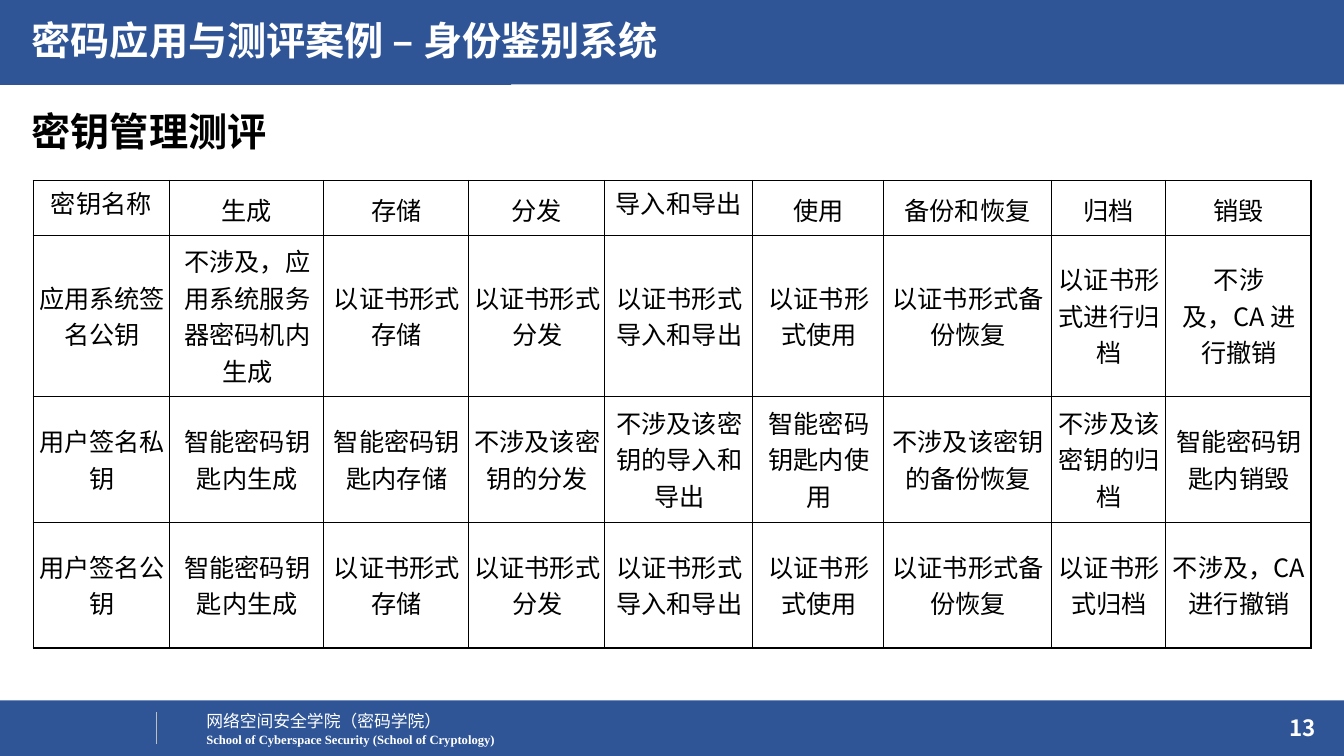
"""Build the key management evaluation slide with its life-cycle table."""
from lxml import etree
from pptx import Presentation
from pptx import util as u
from pptx.dml.color import RGBColor
from pptx.enum import shapes, text
from pptx.oxml import ns

BLUE = RGBColor(0x2F, 0x55, 0x97)
WHITE = RGBColor(0xFF, 0xFF, 0xFF)
BLACK = RGBColor(0, 0, 0)
GREY = RGBColor(0xBF, 0xBF, 0xBF)
SANS = "Noto Sans CJK SC"
SERIF = "Times New Roman"
LEFT, RIGHT = text.PP_ALIGN.LEFT, text.PP_ALIGN.RIGHT
TOP, MIDDLE = text.MSO_ANCHOR.TOP, text.MSO_ANCHOR.MIDDLE

SLIDE_SIZE = (33.87, 19.05)
BANDS = [(0, 17.65, 33.87, 1.4), (0, 0, 33.87, 2.13), (0, 0, 12.88, 2.14)]
DIVIDER = (3.95, 17.95, 3.95, 18.76)

# left, top, width, height, words, font, size, colour, bold, align, anchor, wrap
LABELS = [
    ((4.95, 17.78, 6.5, 0.76), "网络空间安全学院（密码学院）", SANS, 12, WHITE, False, LEFT, TOP, False),
    ((4.95, 18.31, 7.85, 0.64), "School of Cyberspace Security (School of Cryptology)",
     SERIF, 9, WHITE, True, LEFT, TOP, False),
    ((25.78, 17.83, 7.62, 1.02), "13", SANS, 16, WHITE, True, RIGHT, MIDDLE, True),
    ((0.55, 2.57, 32.77, 1.57), "密钥管理测评", SANS, 28, BLACK, True, LEFT, TOP, True),
    ((0.55, 0.28, 21.39, 1.55), "密码应用与测评案例 – 身份鉴别系统", SANS, 28, WHITE, True, LEFT, TOP, True),
]

KEY_TABLE = [
    ["密钥名称", "生成", "存储", "分发", "导入和导出", "使用", "备份和恢复", "归档", "销毁"],
    ["应用系统签名公钥", "不涉及，应用系统服务器密码机内生成", "以证书形式存储", "以证书形式分发",
     "以证书形式导入和导出", "以证书形式使用", "以证书形式备份恢复", "以证书形式进行归档",
     "不涉\n及，CA 进行撤销"],
    ["用户签名私钥", "智能密码钥匙内生成", "智能密码钥匙内存储", "不涉及该密钥的分发",
     "不涉及该密钥的导入和导出", "智能密码钥匙内使用", "不涉及该密钥的备份恢复",
     "不涉及该密钥的归档", "智能密码钥匙内销毁"],
    ["用户签名公钥", "智能密码钥匙内生成", "以证书形式存储", "以证书形式分发",
     "以证书形式导入和导出", "以证书形式使用", "以证书形式备份恢复", "以证书形式归档",
     "不涉及，CA 进行撤销"],
]
TABLE_LEFT, TABLE_TOP = 0.84, 4.55
COLUMN_WIDTHS = [3.43, 3.89, 3.65, 3.43, 3.73, 3.3, 4.22, 2.89, 3.66]
ROW_HEIGHTS = [1.38, 4.06, 3.17, 3.17]
HEADER_MARGINS = (0.18, 0.1, 0.18, 0)
BODY_MARGINS = (0.11, 0.18, 0.08, 0.2)
TOP_ANCHORED_HEADERS = {"密钥名称", "导入和导出"}


def lengths(values):
    return [u.Cm(value) for value in values]


def add_words(paragraph, words, font_name, size, colour, bold=False):
    run = paragraph.add_run()
    run.text = words
    run.font.name = font_name
    run.font.size = u.Pt(size)
    run.font.bold = bold
    run.font.color.rgb = colour
    east_asian = etree.SubElement(run.font._element, ns.qn("a:ea"))
    east_asian.set("typeface", font_name)


def add_band(slide, box):
    band = slide.shapes.add_shape(shapes.MSO_SHAPE.RECTANGLE, *lengths(box))
    band.shadow.inherit = False
    band.fill.solid()
    band.fill.fore_color.rgb = BLUE
    band.line.fill.background()


def add_divider(slide):
    divider = slide.shapes.add_connector(shapes.MSO_CONNECTOR.STRAIGHT, *lengths(DIVIDER))
    divider.line.color.rgb = GREY
    divider.line.width = u.Pt(0.5)
    etree.SubElement(divider._element.spPr, ns.qn("a:effectLst"))


def add_label(slide, box, words, font_name, size, colour, bold, align, anchor, wrap):
    frame = slide.shapes.add_textbox(*lengths(box)).text_frame
    frame.word_wrap = wrap
    frame.vertical_anchor = anchor
    paragraph = frame.paragraphs[0]
    paragraph.alignment = align
    add_words(paragraph, words, font_name, size, colour, bold)


def add_borders(cell):
    properties = cell._tc.get_or_add_tcPr()
    for position, side in enumerate(("lnL", "lnR", "lnT", "lnB")):
        border = etree.Element(ns.qn(f"a:{side}"), w=str(u.Pt(1)))
        fill = etree.SubElement(border, ns.qn("a:solidFill"))
        etree.SubElement(fill, ns.qn("a:srgbClr"), val=str(BLACK))
        properties.insert(position, border)


def fill_cell(cell, words, margins, anchor):
    cell.fill.background()
    add_borders(cell)
    cell.margin_left, cell.margin_top, cell.margin_right, cell.margin_bottom = lengths(margins)
    cell.vertical_anchor = anchor
    frame = cell.text_frame
    for number, line in enumerate(words.split("\n")):
        paragraph = frame.add_paragraph() if number else frame.paragraphs[0]
        paragraph.alignment = text.PP_ALIGN.CENTER
        add_words(paragraph, line, SANS, 18, BLACK)


def add_key_table(slide):
    box = (TABLE_LEFT, TABLE_TOP, sum(COLUMN_WIDTHS), sum(ROW_HEIGHTS))
    table = slide.shapes.add_table(len(ROW_HEIGHTS), len(COLUMN_WIDTHS), *lengths(box)).table
    table.first_row = False
    table.horz_banding = False
    for column, width in zip(table.columns, COLUMN_WIDTHS):
        column.width = u.Cm(width)
    for row, height in zip(table.rows, ROW_HEIGHTS):
        row.height = u.Cm(height)
    for row_number, row_words in enumerate(KEY_TABLE):
        margins = BODY_MARGINS if row_number else HEADER_MARGINS
        for column_number, words in enumerate(row_words):
            anchor = TOP if words in TOP_ANCHORED_HEADERS else MIDDLE
            fill_cell(table.cell(row_number, column_number), words, margins, anchor)


def main():
    presentation = Presentation()
    presentation.slide_width, presentation.slide_height = lengths(SLIDE_SIZE)
    slide = presentation.slides.add_slide(presentation.slide_layouts[6])
    for box in BANDS:
        add_band(slide, box)
    add_divider(slide)
    for label in LABELS:
        add_label(slide, *label)
    add_key_table(slide)
    presentation.save("out.pptx")


if __name__ == "__main__":
    main()
